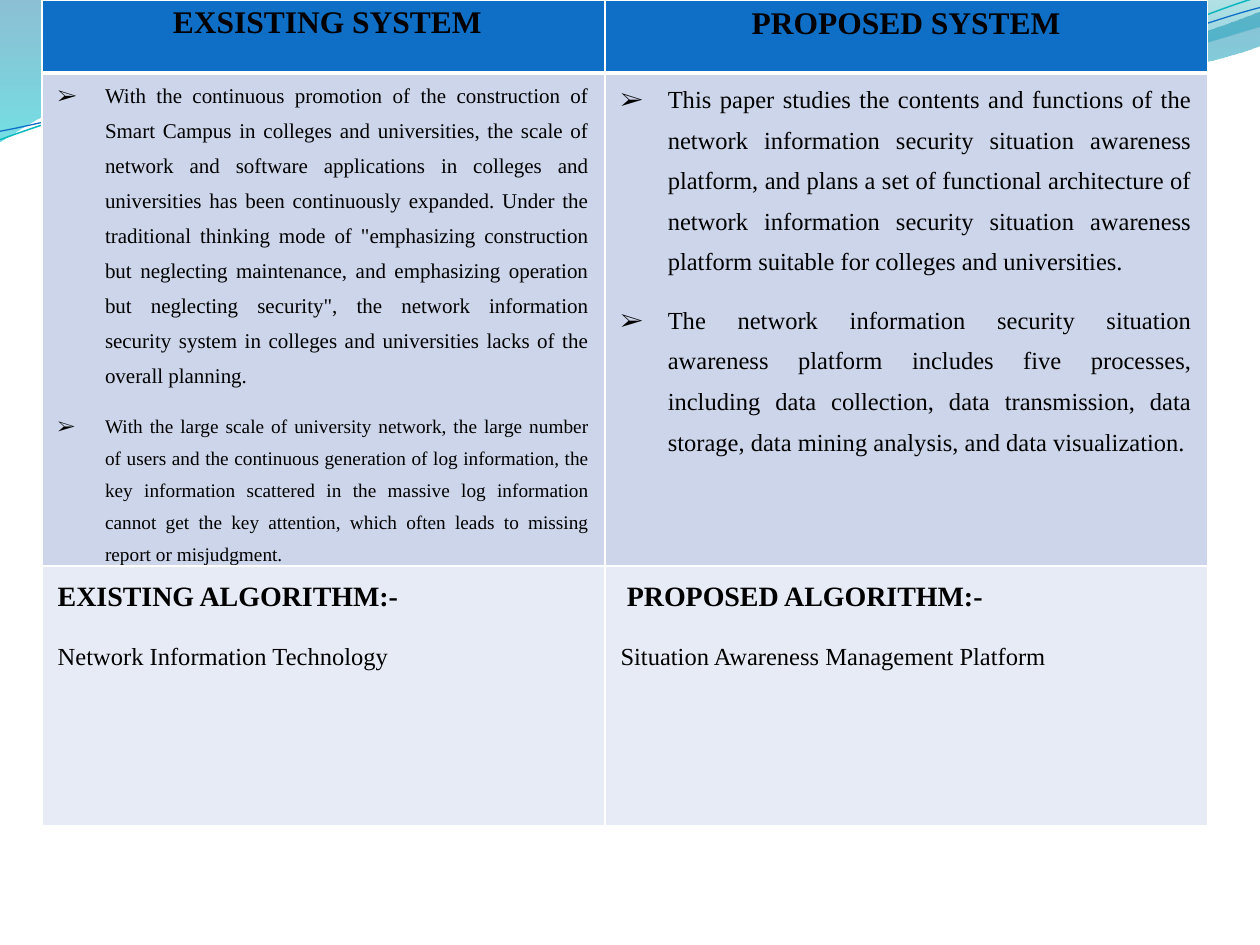
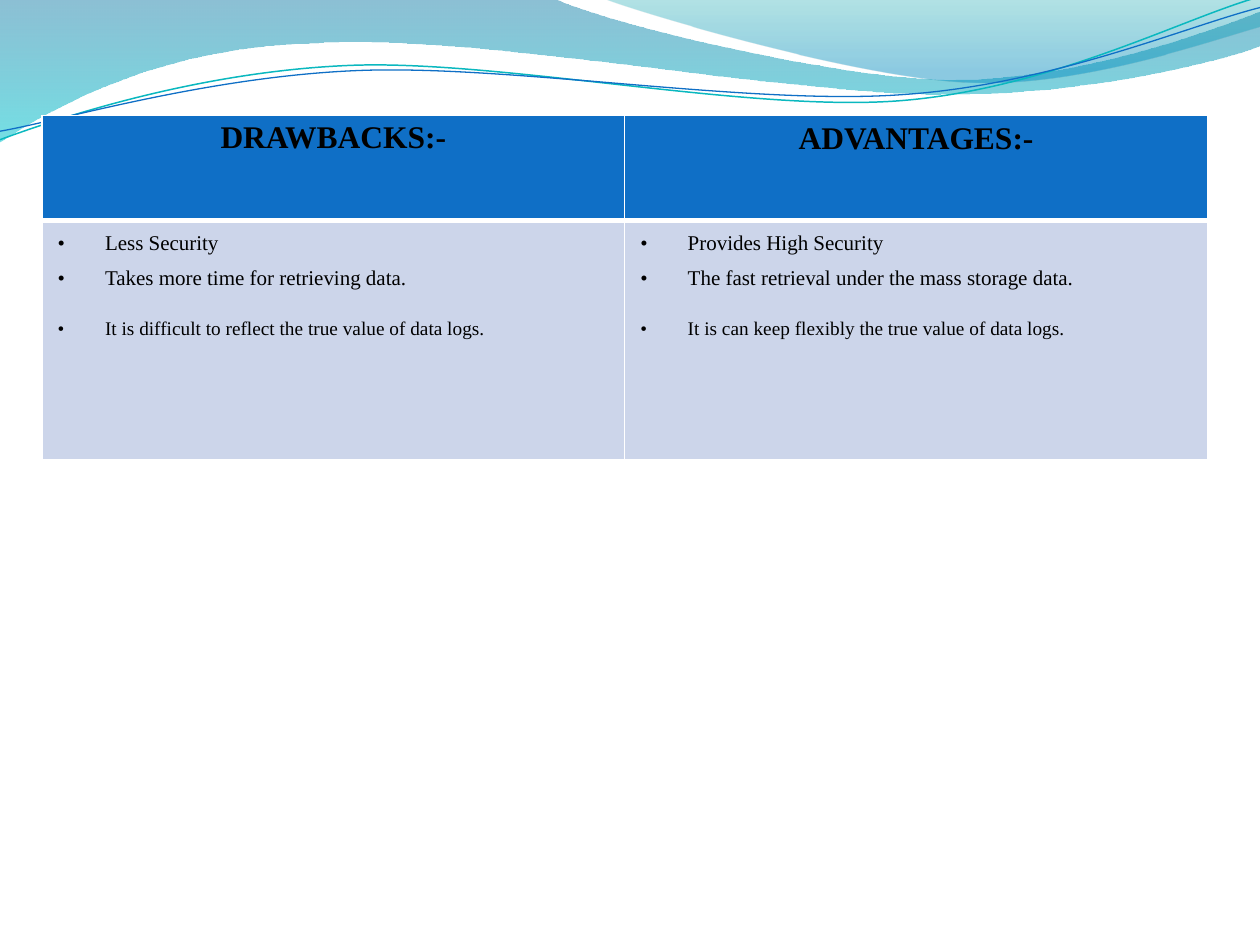
"""Build two comparison slides: existing against proposed system, drawbacks against advantages."""
from pptx import Presentation
from pptx.dml.color import RGBColor
from pptx.enum.text import PP_ALIGN
from pptx.oxml.ns import qn
from pptx.util import Pt
from lxml import etree

CENTER, JUSTIFY, LEFT = PP_ALIGN.CENTER, PP_ALIGN.JUSTIFY, PP_ALIGN.LEFT

BLACK = RGBColor(0x00, 0x00, 0x00)
WHITE = RGBColor(0xFF, 0xFF, 0xFF)
HEADER_BLUE = RGBColor(0x0F, 0x6F, 0xC6)
BODY_LILAC = RGBColor(0xCC, 0xD5, 0xEA)
FOOT_LILAC = RGBColor(0xE7, 0xEB, 0xF5)
TEAL = RGBColor(0x0A, 0xB8, 0xBF)
DEEP_BLUE = RGBColor(0x00, 0x74, 0xA1)
CYAN = RGBColor(0x00, 0xC6, 0xCF)
SEA_GREEN = RGBColor(0x00, 0xA1, 0xA9)
SKY_BLUE = RGBColor(0x00, 0x8B, 0xBF)

FONT = "Times New Roman"
ROW_FILLS = (HEADER_BLUE, BODY_LILAC, FOOT_LILAC)
TABLE_LEFT = 24
TABLE_WIDTH = 666
SYSTEM_WIDTH = 321.6
HANGING = 27
THIN, THICK = 1, 3
STRAND_TILT = 357.3
TIGHT_MARGINS = {"margin_left": Pt(9), "margin_right": Pt(9), "margin_top": 0, "margin_bottom": 0}

BROAD_WAVE = [
    [(0, 0)], [(316.8, -0.7)],
    [(342.7, 12.2), (478.1, 45.4), (545.8, 45.4)],
    [(614.2, 45.4), (689.8, 18.7), (720, 6.5)],
    [(720.7, 25.9)],
    [(707.8, 31.7), (626.4, 54.7), (537.1, 54)],
    [(447.8, 54), (275, 20.2), (185, 24.5)],
    [(92.9, 25.9), (33.1, 59.8), (-0.7, 81.4)],
    [(0, 0)],
]
RIGHT_WAVE = [
    [(344.9, -0.7)],
    [(366.5, 7.9), (491, 44.6), (553.7, 46.8)],
    [(616.3, 49.7), (691.9, 23), (720, 15.1)],
    [(720, 0)],
    [(344.9, -0.7)],
]
TEAL_STRAND = [
    [(-1.4, 62.9)],
    [(33.8, 51.7), (114.1, 29.4), (199.8, 29.9)],
    [(284.9, 30.3), (425.8, 67.3), (512.4, 64.9)],
    [(599, 62.4), (676.5, 25.7), (720.2, 15.5)],
]
BLUE_STRAND = [
    [(-1.1, 58)],
    [(32.9, 53.8), (118.3, 32.5), (204.1, 33)],
    [(290.6, 33.4), (428.9, 63.8), (515.5, 61.4)],
    [(601.3, 59.6), (678.4, 30.1), (721.4, 21.3)],
]


def set_all(target, values):
    """Set every attribute in values on target."""
    for name, value in values.items():
        setattr(target, name, value)


def add_outline(slide, segments, close):
    """Add a freeform of straight and cubic segments without a shadow."""
    start, *rest = [(Pt(x), Pt(y)) for segment in segments for x, y in segment]
    builder = slide.shapes.build_freeform(*start)
    builder.add_line_segments(rest, close=close)
    outline = builder.convert_to_shape()
    outline.shadow.inherit = False
    steps = iter(list(outline.element.iter(qn("a:lnTo"))))
    for segment in segments[1:]:
        first, *others = [next(steps) for _ in segment]
        if others:
            first.addprevious(curve := etree.Element(qn("a:cubicBezTo")))
            for step in (first, *others):
                curve.append(step[0])
                step.getparent().remove(step)
    return outline


def add_wave(slide, segments, stops):
    """Add a translucent wave shaded from top to bottom."""
    wave = add_outline(slide, segments, True)
    wave.line.fill.background()
    wave.fill.gradient()
    wave.fill.gradient_angle = 270
    for stop, (position, color, _) in zip(wave.fill.gradient_stops, stops):
        stop.position = position
        stop.color.rgb = color
    for color_node, (_, _, opacity) in zip(wave.element.spPr.iter(qn("a:srgbClr")), stops):
        etree.SubElement(color_node, qn("a:alpha"), val=str(opacity * 1000))
    return wave


def add_strand(slide, segments, color, width):
    """Add a thin curved line."""
    strand = add_outline(slide, segments, False)
    strand.fill.background()
    strand.line.color.rgb = color
    strand.line.width = Pt(width)
    strand.rotation = STRAND_TILT
    return strand


def add_banner(master, slide):
    """Draw the waves and strands on a slide and move them to the master."""
    for part in (
            add_wave(slide, BROAD_WAVE, [(0, DEEP_BLUE, 45), (1, CYAN, 55)]),
            add_wave(slide, RIGHT_WAVE, [(0, SEA_GREEN, 30), (0.8, SKY_BLUE, 45)]),
            add_strand(slide, TEAL_STRAND, TEAL, 0.85),
            add_strand(slide, BLUE_STRAND, HEADER_BLUE, 0.75)):
        part.element.nvSpPr.cNvPr.set("id", str(len(master.shapes) + 2))
        master.shapes.element.append(part.element)


def entry(text, size, bold=False, align=JUSTIFY, spacing=1.5, after=10, bullet=None, indent=0):
    """Describe one paragraph of a cell."""
    return {
        "text": text, "bullet": bullet, "indent": indent,
        "layout": {"alignment": align, "line_spacing": spacing, "space_after": Pt(after)},
        "font": {"name": FONT, "size": Pt(size), "bold": bold},
    }


def heading(text, **layout):
    """Describe a column heading."""
    return [entry(text, 18, bold=True, align=CENTER, **layout)]


def algorithm(title, name, **layout):
    """Describe an algorithm title and its name."""
    return [entry(title, 16, bold=True, **layout), entry(name, 14, align=LEFT)]


def points(bullet, *items):
    """Describe a bulleted list of text, size and space after."""
    return [entry(text, size, after=after, bullet=bullet) for text, size, after in items]


def write_entry(paragraph, content):
    """Fill a paragraph from its description."""
    set_all(paragraph, content["layout"])
    run = paragraph.add_run()
    run.text = content["text"]
    set_all(run.font, content["font"])
    run.font.color.rgb = BLACK
    properties = paragraph._p.get_or_add_pPr()
    if content["bullet"]:
        properties.set("marL", str(Pt(HANGING)))
        properties.set("indent", str(-Pt(HANGING)))
        etree.SubElement(properties, qn("a:buFont"), typeface=FONT)
        etree.SubElement(properties, qn("a:buChar"), char=content["bullet"])
    elif content["indent"]:
        properties.set("marL", str(Pt(content["indent"])))


def set_borders(cell, top, bottom):
    """Draw white borders round a cell."""
    properties = cell._tc.get_or_add_tcPr()
    for side, width in {"L": THIN, "R": THIN, "T": top, "B": bottom}.items():
        border = etree.SubElement(properties, qn(f"a:ln{side}"), w=str(Pt(width)))
        solid = etree.SubElement(border, qn("a:solidFill"))
        etree.SubElement(solid, qn("a:srgbClr"), val=str(WHITE))


def add_comparison(slide, top, widths, heights, rows):
    """Add a two-column table with a blue heading row."""
    table = slide.shapes.add_table(
        len(rows), len(widths), Pt(TABLE_LEFT), Pt(top), Pt(sum(widths)), Pt(sum(heights))).table
    table.horz_banding = False
    for column, width in zip(table.columns, widths):
        column.width = Pt(width)
    for index, contents in enumerate(rows):
        table.rows[index].height = Pt(heights[index])
        for side, content in enumerate(contents):
            cell = table.cell(index, side)
            set_borders(cell, THICK if index == 1 else THIN, THICK if index == 0 else THIN)
            cell.fill.solid()
            cell.fill.fore_color.rgb = ROW_FILLS[index]
            if (index, side) != (0, 1):
                set_all(cell, TIGHT_MARGINS)
            frame = cell.text_frame
            for number, item in enumerate(content):
                write_entry(frame.add_paragraph() if number else frame.paragraphs[0], item)


def build_systems(slide):
    """Compare the existing and the proposed system."""
    existing = points(
        "➢",
        ("With the continuous promotion of the construction of Smart Campus in colleges and "
         "universities, the scale of network and software applications in colleges and "
         "universities has been continuously expanded. Under the traditional thinking mode of "
         "\"emphasizing construction but neglecting maintenance, and emphasizing operation but "
         "neglecting security\", the network information security system in colleges and "
         "universities lacks of the overall planning. ", 12, 10),
        ("With the large scale of university network, the large number of users and the "
         "continuous generation of log information, the key information scattered in the "
         "massive log information cannot get the key attention, which often leads to missing "
         "report or misjudgment.", 11, 10))
    proposed = points(
        "➢",
        ("This paper studies the contents and functions of the network information security "
         "situation awareness platform, and plans a set of functional architecture of network "
         "information security situation awareness platform suitable for colleges and "
         "universities.", 14, 10),
        ("The network information security situation awareness platform includes five "
         "processes, including data collection, data transmission, data storage, data mining "
         "analysis, and data visualization.", 14, 10))
    add_comparison(slide, 0, (SYSTEM_WIDTH, TABLE_WIDTH - SYSTEM_WIDTH), (41.8, 252, 148.3), [
        (heading("EXSISTING SYSTEM", spacing=1.15, indent=4.5),
         heading("PROPOSED SYSTEM", spacing=1.0, after=0)),
        (existing, proposed),
        (algorithm("EXISTING ALGORITHM:-", "Network Information Technology"),
         algorithm("PROPOSED ALGORITHM:-", "Situation Awareness Management Platform", indent=3.6)),
    ])


def build_merits(slide):
    """Compare the drawbacks and the advantages."""
    drawbacks = points(
        "•",
        ("Less Security", 12, 0),
        ("Takes more time for retrieving data.", 12, 10),
        ("It is difficult to reflect the true value of data logs.", 11, 10))
    advantages = points(
        "•",
        ("Provides High Security", 12, 0),
        ("The fast retrieval under the mass storage data.", 12, 10),
        ("It is can keep flexibly the true value of data logs.", 11, 10))
    add_comparison(slide, 66, (TABLE_WIDTH / 2, TABLE_WIDTH / 2), (60, 136.8), [
        (heading("DRAWBACKS:-", spacing=1.15),
         heading("ADVANTAGES:-", spacing=1.0, after=0)),
        (drawbacks, advantages),
    ])


def main():
    """Build and save the presentation."""
    deck = Presentation()
    set_all(deck, {"slide_width": Pt(720), "slide_height": Pt(540)})
    blank = deck.slide_layouts[6]
    systems, merits = [deck.slides.add_slide(blank) for _ in range(2)]
    add_banner(deck.slide_master, systems)
    build_systems(systems)
    build_merits(merits)
    deck.save("out.pptx")


if __name__ == "__main__":
    main()
